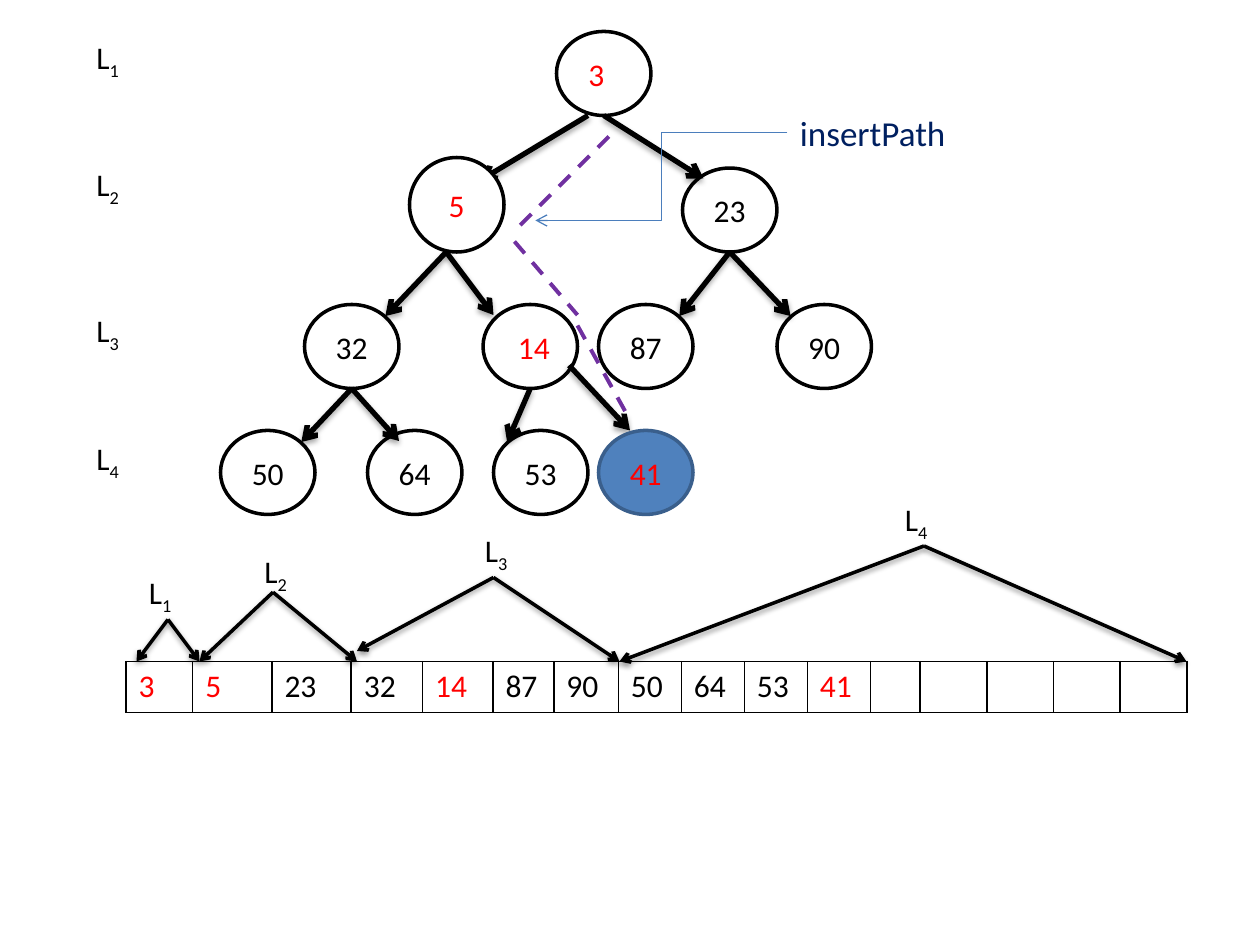
from dataclasses import dataclass

from lxml import etree
from pptx import Presentation, util as u
from pptx.dml.color import RGBColor
from pptx.enum import dml, shapes, text
from pptx.oxml import ns


@dataclass(frozen=True)
class Theme:
    font: str = "Calibri"
    body: int = 18
    callout: int = 20
    ink: str = "000000"
    paper: str = "FFFFFF"
    marked: str = "FF0000"
    added: str = "4F81BD"
    added_edge: str = "3A5F8C"
    path_line: str = "7030A0"
    callout_text: str = "002060"
    callout_line: str = "4B7EBC"


THEME = Theme()
CELL = u.Inches(10) / 120
NODE_WIDTH, NODE_HEIGHT = 9, 8
INSET = 1.2


def cells(count):
    return round(count * CELL)


@dataclass(frozen=True)
class Box:
    column: float
    row: float

    def point(self, spot):
        return cells(self.column + spot[0]), cells(self.row + spot[1])


def add_span(para, wording, color, size=THEME.body, subscript=False):
    span = para.add_run()
    span.text = wording
    span.font.name = THEME.font
    span.font.size = u.Pt(size)
    span.font.color.rgb = RGBColor.from_string(color)
    if subscript:
        span.font._element.set("baseline", "-25000")


def add_text(page, box, spot, width, height, wrap=True):
    label = page.shapes.add_textbox(*box.point(spot), cells(width), cells(height))
    label.text_frame.word_wrap = wrap
    label.text_frame.auto_size = text.MSO_AUTO_SIZE.SHAPE_TO_FIT_TEXT
    return label.text_frame.paragraphs[0]


def add_level(page, box, spot, number):
    para = add_text(page, box, spot, 7, 4.85)
    add_span(para, "L", THEME.ink)
    add_span(para, str(number), THEME.ink, subscript=True)


def add_line(page, box, start, end, color, width, arrow=True, shade=None,
             kind=shapes.MSO_CONNECTOR.STRAIGHT):
    line = page.shapes.add_connector(kind, *box.point(start), *box.point(end))
    line.line.color.rgb = RGBColor.from_string(color)
    line.line.width = u.Pt(width)
    if arrow:
        outline = line.line._get_or_add_ln()
        etree.SubElement(outline, ns.qn("a:tailEnd"), type="arrow")
    effects = etree.SubElement(line._element.spPr, ns.qn("a:effectLst"))
    if shade:
        alpha, distance = shade
        shadow = etree.SubElement(effects, ns.qn("a:outerShdw"), blurRad="40000",
                                  dist=str(distance), dir="5400000", rotWithShape="0")
        tint = etree.SubElement(shadow, ns.qn("a:srgbClr"), val=THEME.ink)
        etree.SubElement(tint, ns.qn("a:alpha"), val=str(alpha))
    return line


def add_node(page, box, spot, wording, color=THEME.ink, height=NODE_HEIGHT, nudge=0,
             fill=THEME.paper, edge=THEME.ink):
    node = page.shapes.add_shape(shapes.MSO_SHAPE.OVAL, *box.point(spot),
                                 cells(NODE_WIDTH), cells(height))
    node.shadow.inherit = False
    node.fill.solid()
    node.fill.fore_color.rgb = RGBColor.from_string(fill)
    node.line.color.rgb = RGBColor.from_string(edge)
    node.line.width = u.Pt(2)
    frame = node.text_frame
    frame.vertical_anchor = text.MSO_ANCHOR.MIDDLE
    frame.margin_left = cells(INSET + max(nudge, 0))
    frame.margin_right = cells(INSET + max(-nudge, 0))
    para = frame.paragraphs[0]
    para.alignment = text.PP_ALIGN.CENTER
    add_span(para, wording, color)


def draw_tree(page, box):
    add_node(page, box, (45, 0), "3", THEME.marked, nudge=-1.36)
    add_node(page, box, (38, 26), "14", THEME.marked, nudge=0.68)
    plain_nodes = {"23": (57, 13), "32": (21, 26), "87": (49, 26), "90": (66, 26),
                   "50": (13, 38), "64": (27, 38), "53": (39, 38)}
    for wording, spot in plain_nodes.items():
        add_node(page, box, spot, wording)

    branches = {
        (48, 8): [(37.7, 14.2)],
        (49.5, 8): [(59, 14)],
        (34.5, 21): [(28.7, 27.1), (39, 27)],
        (61.5, 21): [(56.7, 27.1), (67.3, 27.1)],
        (25.5, 34): [(20.7, 39.1), (30, 39)],
        (42.5, 34): [(40.3, 39.1)],
        (46.2, 31.8): [(52, 38)],
    }
    for parent, children in branches.items():
        for child in children:
            add_line(page, box, parent, child, THEME.ink, 3, shade=(35000, 23000))

    add_node(page, box, (31, 12), "5", THEME.marked, height=NODE_WIDTH)
    add_node(page, box, (49, 38), "41", THEME.marked,
             fill=THEME.added, edge=THEME.added_edge)
    for number, row in enumerate((0, 12.1, 26, 38.2), start=1):
        add_level(page, box, (0, row), number)


def draw_insert_path(page, box):
    steps = [((50, 10), (41, 19)), ((41, 20), (47, 27)), ((47, 28), (52, 37))]
    for start, end in steps:
        step = add_line(page, box, start, end, THEME.path_line, 2.25, arrow=False)
        step.line.dash_style = dml.MSO_LINE.DASH
    para = add_text(page, box, (67, 7), 16.4, 5.3, wrap=False)
    add_span(para, "insertPath", THEME.callout_text, THEME.callout)
    add_line(page, box, (67, 9.6), (43, 18), THEME.callout_line, 0.75,
             kind=shapes.MSO_CONNECTOR.ELBOW)


def add_border(cell):
    properties = cell._tc.get_or_add_tcPr()
    for place, side in enumerate(("lnL", "lnR", "lnT", "lnB")):
        border = etree.Element(ns.qn(f"a:{side}"), w=str(u.Pt(1)))
        paint = etree.SubElement(border, ns.qn("a:solidFill"))
        etree.SubElement(paint, ns.qn("a:srgbClr"), val=THEME.ink)
        properties.insert(place, border)


def draw_array(page, box):
    values = ["3", "5", "23", "32", "14", "87", "90", "50", "64", "53", "41"]
    inserted = {"3", "5", "14", "41"}
    widths = [6.35, 7.55, 7.55, 6.8, 6.7, 5.8, 6.15] + [6] * 4 + [4.75] + [6.35] * 4
    frame = page.shapes.add_table(1, len(widths), *box.point((0, 16)),
                                  cells(sum(widths)), cells(4.85))
    table = frame.table
    table.first_row = table.horz_banding = False
    for index, width in enumerate(widths):
        table.columns[index].width = cells(width)
        cell = table.cell(0, index)
        cell.fill.background()
        add_border(cell)
        if index < len(values):
            value = values[index]
            color = THEME.marked if value in inserted else THEME.ink
            add_span(cell.text_frame.paragraphs[0], value, color)

    brackets = [
        ((1, 7), (4, 12), [(1, 16), (7, 16)]),
        ((12, 5), (14, 9.4), [(7, 16), (22, 16)]),
        ((33, 3), (35, 8), [(22, 15), (47, 16)]),
        ((73, 0), (76, 5), [(47, 16), (101, 16)]),
    ]
    for number, (label, apex, feet) in enumerate(brackets, start=1):
        add_level(page, box, label, number)
        for foot in feet:
            add_line(page, box, apex, foot, THEME.ink, 2, shade=(38000, 20000))


def main():
    deck = Presentation()
    deck.slide_width, deck.slide_height = cells(120), cells(90)
    page = deck.slides.add_slide(deck.slide_layouts[6])
    tree_box = Box(8, 3)
    draw_tree(page, tree_box)
    draw_insert_path(page, tree_box)
    draw_array(page, Box(12, 47))
    deck.save("out.pptx")


if __name__ == "__main__":
    main()
